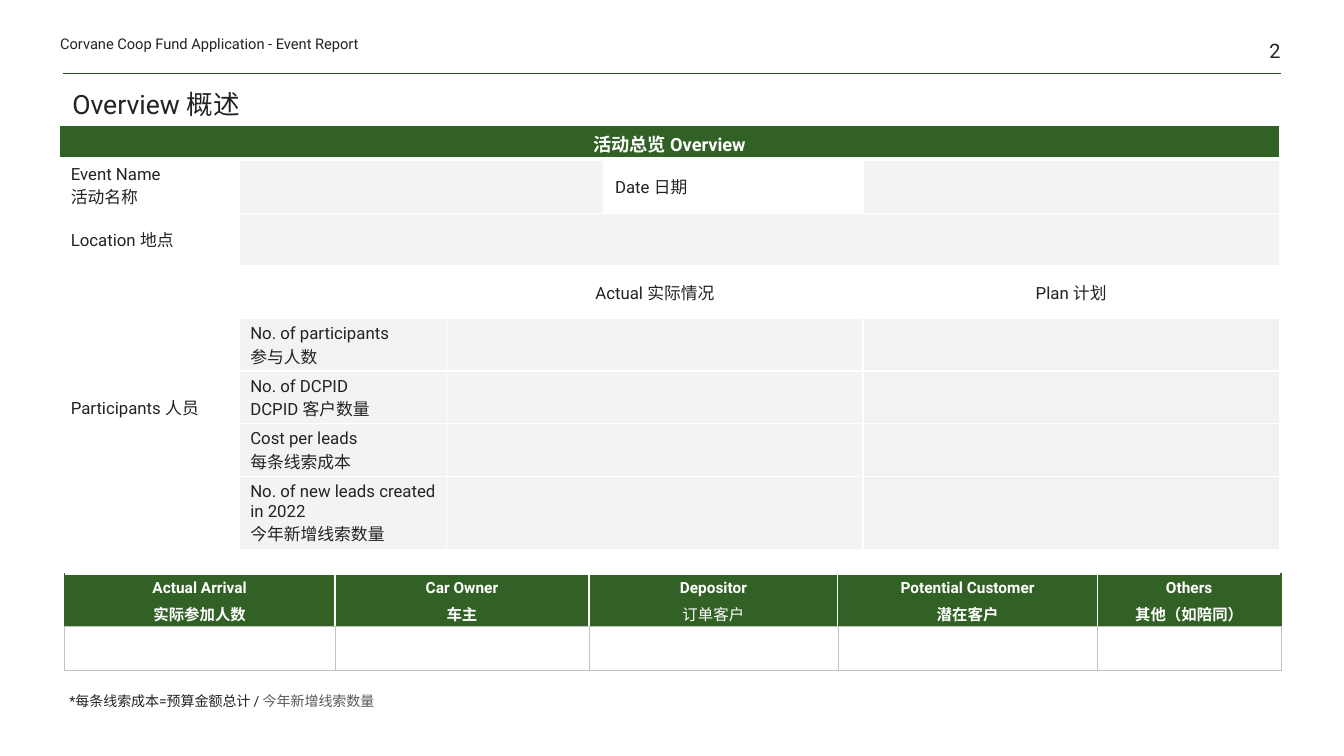
import pptx
import pptx.dml.color
import pptx.enum.shapes
import pptx.enum.text
import pptx.util
from dataclasses import dataclass
from lxml import etree

Pt = pptx.util.Pt
ALIGN = pptx.enum.text.PP_ALIGN
ANCHOR = pptx.enum.text.MSO_ANCHOR
DML = "http://schemas.openxmlformats.org/drawingml/2006/main"


@dataclass(frozen=True)
class Theme:
    font: str = "Roboto"
    ink: str = "232323"
    muted: str = "5A5A5A"
    white: str = "FFFFFF"
    green: str = "326125"
    rule: str = "284E1E"
    pale: str = "F2F3F4"
    plan: str = "F2F2F2"
    grid: str = "BEC1C6"
    title: float = 19
    page: float = 14.2
    band: float = 13
    body: float = 12
    head: float = 11
    label: float = 10.5
    note: float = 10


THEME = Theme()


def color(code):
    return pptx.dml.color.RGBColor.from_string(code)


def style(font, size, ink=THEME.ink, bold=False):
    font.name = THEME.font
    font.size = Pt(size)
    font.bold = bold
    font.color.rgb = color(ink)


def add_text(slide, box, text, size, align=ALIGN.LEFT, anchor=ANCHOR.BOTTOM, inset=(0, 0)):
    frame = slide.shapes.add_textbox(*map(Pt, box)).text_frame
    frame.word_wrap = True
    frame.vertical_anchor = anchor
    frame.margin_left = frame.margin_right = Pt(inset[0])
    frame.margin_top = frame.margin_bottom = Pt(inset[1])
    para = frame.paragraphs[0]
    para.text = text
    para.alignment = align
    style(para.font, size)
    return para


def add_rule(slide, left, right, top):
    kind = pptx.enum.shapes.MSO_CONNECTOR.STRAIGHT
    line = slide.shapes.add_connector(kind, Pt(left), Pt(top), Pt(right), Pt(top))
    line.line.color.rgb = color(THEME.rule)
    line.line.width = Pt(0.5)
    etree.SubElement(line._element.spPr, f"{{{DML}}}effectLst")


def add_grid(slide, left, top, cols, rows):
    frame = slide.shapes.add_table(len(rows), len(cols), Pt(left), Pt(top),
                                   Pt(sum(cols)), Pt(sum(rows)))
    table = frame.table
    table.first_row = table.horz_banding = False
    for col, width in zip(table.columns, cols):
        col.width = Pt(width)
    for row, height in zip(table.rows, rows):
        row.height = Pt(height)
    return table


def edge(cell, **sides):
    """Draw cell borders; each side is a (colour, width) pair."""
    props = cell._tc.get_or_add_tcPr()
    for side in "LRTB":
        if side in sides:
            code, width = sides[side]
            line = etree.SubElement(props, f"{{{DML}}}ln{side}", w=str(Pt(width)))
            fill = etree.SubElement(line, f"{{{DML}}}solidFill")
            etree.SubElement(fill, f"{{{DML}}}srgbClr", val=code)


def paint(cell, code):
    if code:
        cell.fill.solid()
        cell.fill.fore_color.rgb = color(code)
    else:
        cell.fill.background()


def write(cell, text, size, ink=THEME.ink, bold=False, align=ALIGN.LEFT,
          anchor=ANCHOR.MIDDLE, inset=(7.92, 3.96), before=0):
    cell.margin_left = cell.margin_right = Pt(inset[0])
    cell.margin_top = cell.margin_bottom = Pt(inset[1])
    cell.vertical_anchor = anchor
    cell.text = text
    for para in cell.text_frame.paragraphs:
        para.alignment = align
        para.space_before = Pt(before)
        style(para.font, size, ink, bold)


def add_form(slide):
    cols = [128.2, 148.3, 112.3, 185, 297.4]
    rows = [24.5, 38.5] + [37.6] * 5 + [52.2]
    table = add_grid(slide, 42.7, 89.3, cols, rows)

    # Fills and white grid
    line = (THEME.white, 1)
    for r in range(len(rows)):
        for c in range(len(cols)):
            code = None
            if r == 0:
                code = THEME.green
            elif r == 2 and c or r == 1 and c in (1, 2, 4):
                code = THEME.pale
            elif r > 3 and c:
                code = THEME.plan if c == 4 else THEME.pale
            cell = table.cell(r, c)
            edge(cell, L=line, R=line, T=line, B=(THEME.white, 3) if r == 0 else line)
            paint(cell, code)

    # Merged areas
    spans = [(0, 0, 0, 4), (1, 1, 1, 2), (2, 1, 2, 4), (3, 0, 7, 0)]
    spans += [(r, 2, r, 3) for r in range(3, 8)]
    for top, left, low, right in spans:
        table.cell(top, left).merge(table.cell(low, right))

    # Wording
    write(table.cell(0, 0), "活动总览 Overview", THEME.band, THEME.white, True, ALIGN.CENTER)
    labels = {(1, 0): "Event Name\n活动名称", (1, 3): "Date 日期",
              (2, 0): "Location 地点", (3, 0): "Participants 人员"}
    for place, text in labels.items():
        write(table.cell(*place), text, THEME.body)
    for c, text in ((2, "Actual 实际情况"), (4, "Plan 计划")):
        write(table.cell(3, c), text, THEME.body, align=ALIGN.CENTER)
    counts = ["No. of participants\n参与人数", "No. of DCPID\nDCPID 客户数量",
              "Cost per leads\n每条线索成本", "No. of new leads created in 2022\n今年新增线索数量"]
    for r, text in enumerate(counts, 4):
        write(table.cell(r, 1), text, THEME.body, anchor=ANCHOR.TOP)


def add_guests(slide):
    heads = ["Actual Arrival\n实际参加人数", "Car Owner\n车主", "Depositor\n订单客户",
             "Potential Customer\n潜在客户", "Others\n其他（如陪同）"]
    table = add_grid(slide, 46, 410, [193.3, 181.4, 177.8, 185.4, 131.2], [37.4, 31.4])
    last = len(heads) - 1
    grey = (THEME.grid, 0.5)
    for c, text in enumerate(heads):
        head, blank = table.cell(0, c), table.cell(1, c)
        edge(head, L=(THEME.white if c else THEME.green, 1),
             R=(THEME.white if c < last else THEME.green, 1), B=grey)
        paint(head, THEME.green)
        write(head, text, THEME.head, THEME.white, True, ALIGN.CENTER,
              inset=(3.6, 3.6), before=4)
        edge(blank, L=grey, R=grey, T=grey, B=grey)
        paint(blank, None)
    table.cell(0, 2).text_frame.paragraphs[1].font.bold = False


def main():
    deck = pptx.Presentation()
    deck.slide_width, deck.slide_height = Pt(960), Pt(540)
    slide = deck.slides.add_slide(deck.slide_layouts[6])

    # Page header
    add_rule(slide, 45, 915, 52.5)
    add_text(slide, (854.6, 0, 60, 44.6), "2", THEME.page, ALIGN.RIGHT)
    add_text(slide, (43, 20.9, 300, 16.6), "Corvane Coop Fund Application - Event Report",
             THEME.label)
    title = add_text(slide, (44.6, 60.5, 870.5, 28.8), "Overview 概述", THEME.title,
                     inset=(7.2, 3.6))
    title.line_spacing = 0.85

    # Tables
    add_form(slide)
    add_guests(slide)

    # Footnote
    note = add_text(slide, (42.5, 491, 403, 19.4), "*每条线索成本=预算金额总计 / ", THEME.note,
                    anchor=ANCHOR.TOP, inset=(7.2, 3.6))
    tail = note.add_run()
    tail.text = "今年新增线索数量"
    tail.font.color.rgb = color(THEME.muted)

    deck.save("out.pptx")


if __name__ == "__main__":
    main()
